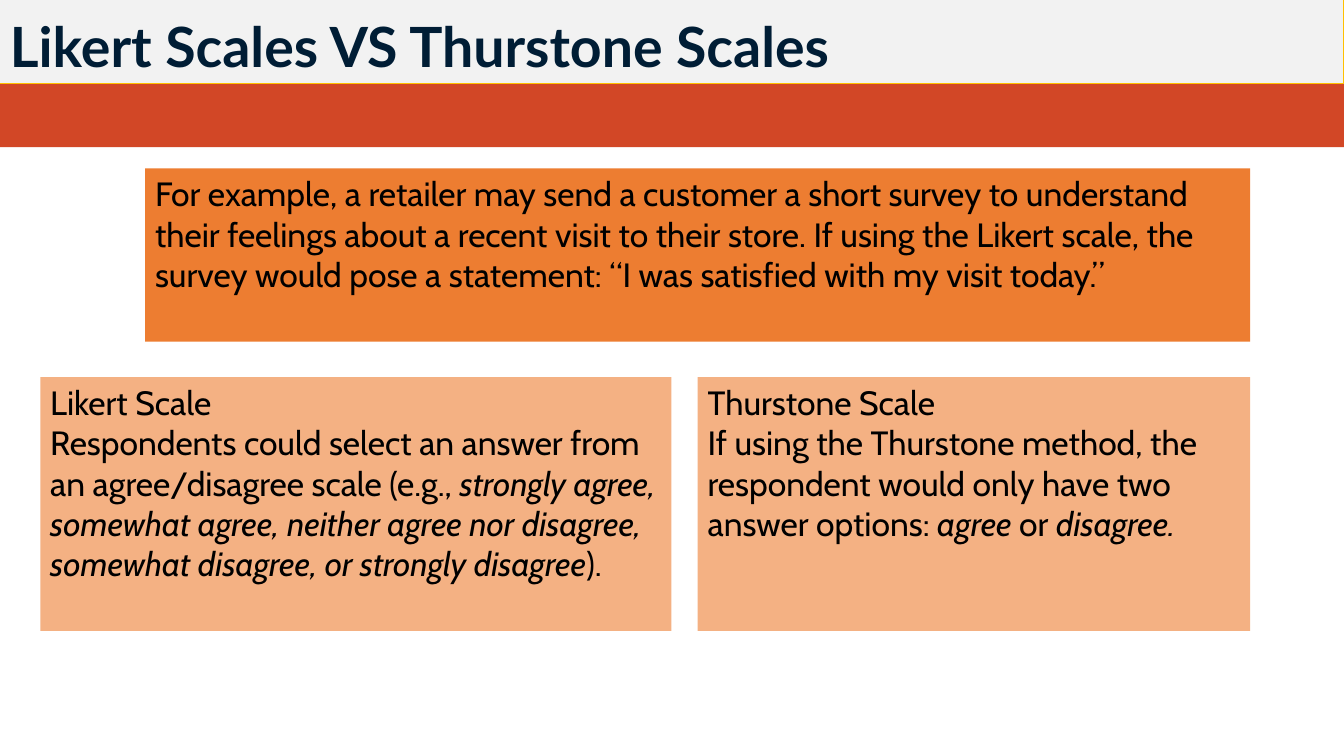
from pptx import Presentation
from pptx.dml.color import RGBColor
from pptx.enum.shapes import MSO_SHAPE
from pptx.enum.text import MSO_ANCHOR, PP_ALIGN
from pptx.util import Inches, Pt

RECTANGLE = MSO_SHAPE.RECTANGLE
TOP, BOTTOM = MSO_ANCHOR.TOP, MSO_ANCHOR.BOTTOM
LEFT = PP_ALIGN.LEFT

RED = RGBColor(0xD2, 0x47, 0x26)
LIGHT_GRAY = RGBColor(0xF2, 0xF2, 0xF2)
GOLD = RGBColor(0xFF, 0xC0, 0x00)
NAVY = RGBColor(0x00, 0x1D, 0x35)
ORANGE = RGBColor(0xED, 0x7D, 0x31)
PEACH = RGBColor(0xF4, 0xB1, 0x83)
BLACK = RGBColor(0x00, 0x00, 0x00)

SLIDE_WIDTH, SLIDE_HEIGHT = 13.33, 7.5
SCALE_TOP, SCALE_HEIGHT = 3.74, 2.52

TITLE_FORMAT = {"name": "Lato", "size": Pt(39.6), "bold": True}
BODY_FORMAT = {"name": "Cabin", "size": Pt(24)}

EXAMPLE = (
    "For example, a retailer may send a customer a short survey to understand "
    "their feelings about a recent visit to their store. If using the Likert "
    "scale, the survey would pose a statement: “I was satisfied with my visit today.”"
)

# Each scale: left, width, name, then runs that alternate plain and italic.
SCALES = [
    (0.4, 6.26, "Likert Scale", [
        "Respondents could select an answer from an agree/disagree scale (e.g., ",
        "strongly agree, somewhat agree, neither agree nor disagree, "
        "somewhat disagree, or strongly disagree",
        ").",
    ]),
    (6.92, 5.48, "Thurstone Scale", [
        "If using the Thurstone method, the respondent would only have two "
        "answer options: ",
        "agree ",
        "or ",
        "disagree.",
    ]),
]


class SlideBuilder:
    def __init__(self, slide):
        self.slide = slide

    def box(self, left, top, width, height, fill, line=None):
        shape = self.slide.shapes.add_shape(
            RECTANGLE, Inches(left), Inches(top), Inches(width), Inches(height))
        shape.shadow.inherit = False
        shape.fill.solid()
        shape.fill.fore_color.rgb = fill
        if line is None:
            shape.line.fill.background()
        else:
            shape.line.color.rgb = line
            shape.line.width = Pt(0.75)
        return shape

    def add_text(self, shape, paragraphs, font_format, color, anchor=TOP):
        """Fill a shape with paragraphs whose runs alternate plain and italic."""
        frame = shape.text_frame
        frame.word_wrap = True
        frame.vertical_anchor = anchor
        for index, runs in enumerate(paragraphs):
            paragraph = frame.add_paragraph() if index else frame.paragraphs[0]
            paragraph.alignment = LEFT
            for position, text in enumerate(runs):
                run = paragraph.add_run()
                run.text = text
                for name, value in font_format.items():
                    setattr(run.font, name, value)
                run.font.italic = position % 2 == 1
                run.font.color.rgb = color


def main():
    presentation = Presentation()
    presentation.slide_width = Inches(SLIDE_WIDTH)
    presentation.slide_height = Inches(SLIDE_HEIGHT)
    builder = SlideBuilder(
        presentation.slides.add_slide(presentation.slide_layouts[6]))

    builder.box(0, 0, SLIDE_WIDTH, 1.46, RED)
    title = builder.box(0, 0, SLIDE_WIDTH, 0.83, LIGHT_GRAY, GOLD)
    builder.add_text(title, [["Likert Scales VS Thurstone Scales"]],
                     TITLE_FORMAT, NAVY, BOTTOM)

    example = builder.box(1.44, 1.67, 10.96, 1.72, ORANGE)
    builder.add_text(example, [[EXAMPLE]], BODY_FORMAT, BLACK)

    for left, width, name, description in SCALES:
        scale = builder.box(left, SCALE_TOP, width, SCALE_HEIGHT, PEACH)
        builder.add_text(scale, [[name], description], BODY_FORMAT, BLACK)

    presentation.save("out.pptx")


if __name__ == "__main__":
    main()
